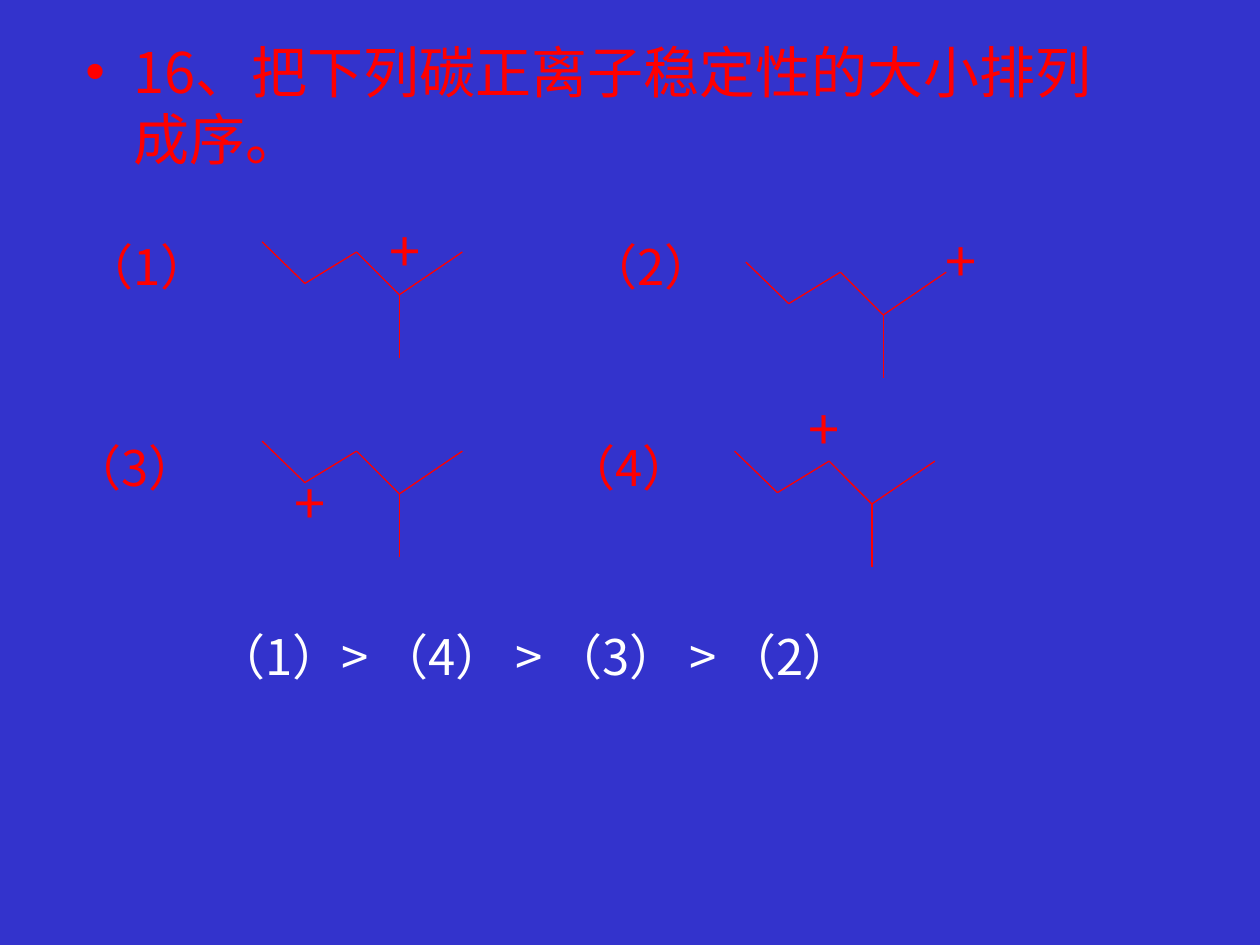
from itertools import pairwise

from lxml import etree
from pptx import Presentation
from pptx.dml.color import RGBColor
from pptx.enum import shapes, text
from pptx.oxml.ns import qn
from pptx.util import Inches, Pt

BLUE = RGBColor(0x33, 0x33, 0xCC)
RED = RGBColor(0xFF, 0x00, 0x00)
WHITE = RGBColor(0xFF, 0xFF, 0xFF)
FONT = "Noto Sans CJK SC"

# Carbon skeleton, relative to its left end
CHAIN = [(0, 0), (0.34, 0.33), (0.75, 0.08), (1.09, 0.42), (1.59, 0.08)]
BRANCH = [(1.09, 0.42), (1.09, 0.92)]

# Label, label position, skeleton position, charge position
IONS = [
    ("（1）", (0.57, 1.83), (2.08, 1.92), (2.99, 1.67)),
    ("（2）", (4.57, 1.83), (5.92, 2.08), (7.41, 1.75)),
    ("（3）", (0.48, 3.42), (2.08, 3.5), (2.24, 3.67)),
    ("（4）", (4.4, 3.42), (5.83, 3.58), (6.32, 3.08)),
]


def add_bullet(para):
    props = para._p.get_or_add_pPr()
    props.set("marL", str(Inches(0.38)))
    props.set("indent", str(-Inches(0.38)))
    color = etree.SubElement(props, qn("a:buClr"))
    etree.SubElement(color, qn("a:srgbClr"), val=str(RED))
    etree.SubElement(props, qn("a:buFont"), typeface="Arial")
    etree.SubElement(props, qn("a:buChar"), char="•")


def add_text(page, words, place, size, points, color=RED, bullet=False):
    box = page.shapes.add_textbox(*map(Inches, place + size))
    frame = box.text_frame
    frame.word_wrap = bullet
    if not bullet:
        frame.auto_size = text.MSO_AUTO_SIZE.SHAPE_TO_FIT_TEXT
    para = frame.paragraphs[0]
    para.text = words
    if bullet:
        add_bullet(para)
    para.font.size = Pt(points)
    para.font.color.rgb = color
    para.font.name = FONT
    # East Asian characters take their own font element
    defaults = para._p.pPr.find(qn("a:defRPr"))
    etree.SubElement(defaults, qn("a:ea"), typeface=FONT)


def add_bond(page, start, end):
    bond = page.shapes.add_connector(
        shapes.MSO_CONNECTOR.STRAIGHT, *map(Inches, start + end))
    bond.line.color.rgb = RED
    bond.line.width = Pt(0.75)
    etree.SubElement(bond._element.spPr, qn("a:effectLst"))


def add_skeleton(page, left, top):
    for bonds in (CHAIN, BRANCH):
        points = [(left + x, top + y) for x, y in bonds]
        for start, end in pairwise(points):
            add_bond(page, start, end)


def main():
    deck = Presentation()
    deck.slide_width, deck.slide_height = Inches(10), Inches(7.5)
    page = deck.slides.add_slide(deck.slide_layouts[6])
    page.background.fill.solid()
    page.background.fill.fore_color.rgb = BLUE

    # Question
    add_text(page, "16、把下列碳正离子稳定性的大小排列成序。",
             (0.58, 0.25), (8.5, 1.33), 32, bullet=True)

    # The four carbocations
    for label, label_at, skeleton_at, charge_at in IONS:
        add_skeleton(page, *skeleton_at)
        add_text(page, "+", charge_at, (0.44, 0.64), 32)
        add_text(page, label, label_at, (1.38, 0.57), 28)

    # Answer
    add_text(page, "（1）> （4） > （3） > （2）",
             (1.62, 4.92), (6.57, 0.57), 28, WHITE)

    deck.save("out.pptx")


if __name__ == "__main__":
    main()
